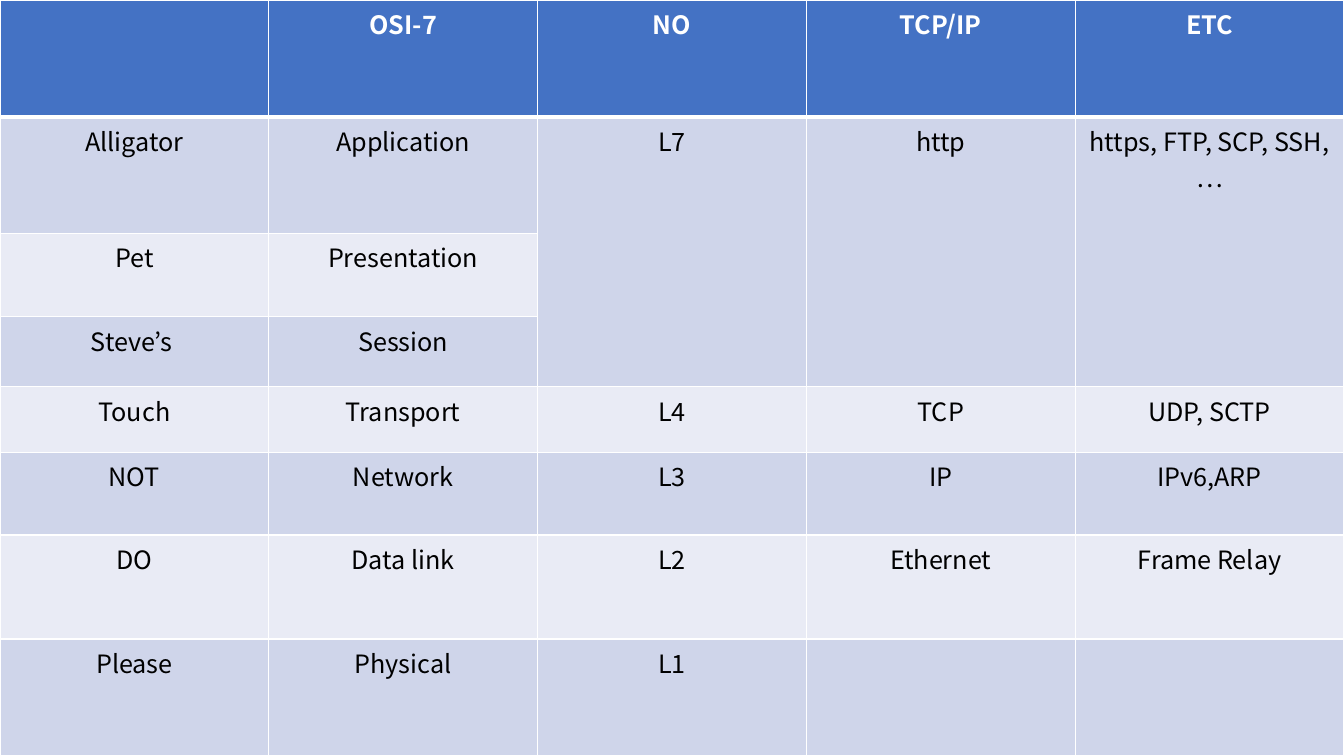
import pptx
import pptx.dml.color
import pptx.enum.text
import pptx.oxml
import pptx.oxml.ns
import pptx.util

Pt = pptx.util.Pt
WIDTH, HEIGHT = 960, 540
COLORS = {"header": "4472C4", "odd": "CFD5EA", "even": "E9EBF5",
          "line": "FFFFFF", "header_text": "FFFFFF", "text": "000000"}

LAYERS = [
    ["", "OSI-7", "NO", "TCP/IP", "ETC"],
    ["Alligator", "Application", "L7", "http", "https, FTP, SCP, SSH, …"],
    ["Pet", "Presentation", "", "", ""],
    ["Steve’s ", "Session", "", "", ""],
    ["Touch", "Transport", "L4", "TCP", "UDP, SCTP"],
    ["NOT", "Network", "L3", "IP", "IPv6,ARP"],
    ["DO", "Data link", "L2", "Ethernet", "Frame Relay"],
    ["Please", "Physical", "L1", "", ""],
]
ROW_HEIGHTS = [83.5, 83.3, 59.5, 50, 47.1, 58.9, 74.3, 83.4]
# Application, Presentation and Session share one cell in these columns
MERGED_ROWS = (1, 3)
MERGED_COLUMNS = (2, 3, 4)


class SlideBuilder:
    font = "Noto Sans CJK KR"
    size = 18

    def __init__(self, slide):
        self.slide = slide

    def color(self, key):
        return pptx.dml.color.RGBColor.from_string(COLORS[key])

    def table(self, rows, left, top, width, height, row_heights):
        grid = self.slide.shapes.add_table(
            len(rows), len(rows[0]), Pt(left), Pt(top), Pt(width), Pt(height)).table
        for column in grid.columns:
            column.width = Pt(width / len(rows[0]))
        for row, row_height in zip(grid.rows, row_heights):
            row.height = Pt(row_height)
        for r, texts in enumerate(rows):
            for c, text in enumerate(texts):
                self.cell(grid.cell(r, c), text, r)
        return grid

    def cell(self, cell, text, row):
        header = row == 0
        fill = "header" if header else "odd" if row % 2 else "even"
        cell.fill.solid()
        cell.fill.fore_color.rgb = self.color(fill)
        self.borders(cell, top=3 if row == 1 else 1, bottom=3 if header else 1)
        paragraph = cell.text_frame.paragraphs[0]
        paragraph.alignment = pptx.enum.text.PP_ALIGN.CENTER
        if text:
            run = paragraph.add_run()
            run.text = text
            run.font.name = self.font
            run.font.size = Pt(self.size)
            run.font.bold = header
            run.font.color.rgb = self.color("header_text" if header else "text")

    def borders(self, cell, top, bottom):
        properties = cell._tc.get_or_add_tcPr()
        sides = [("L", 1), ("R", 1), ("T", top), ("B", bottom)]
        for position, (side, weight) in enumerate(sides):
            properties.insert(position, pptx.oxml.parse_xml(
                f'<a:ln{side} {pptx.oxml.ns.nsdecls("a")} w="{Pt(weight)}">'
                f'<a:solidFill><a:srgbClr val="{COLORS["line"]}"/></a:solidFill>'
                f'</a:ln{side}>'))


def main():
    deck = pptx.Presentation()
    deck.slide_width, deck.slide_height = Pt(WIDTH), Pt(HEIGHT)
    builder = SlideBuilder(deck.slides.add_slide(deck.slide_layouts[6]))

    # Full-slide comparison of the network layers
    layers = builder.table(LAYERS, 0, 0, WIDTH, HEIGHT, ROW_HEIGHTS)

    # Cells spanning the top three layers
    first, last = MERGED_ROWS
    for column in MERGED_COLUMNS:
        layers.cell(first, column).merge(layers.cell(last, column))

    deck.save("out.pptx")


if __name__ == "__main__":
    main()
